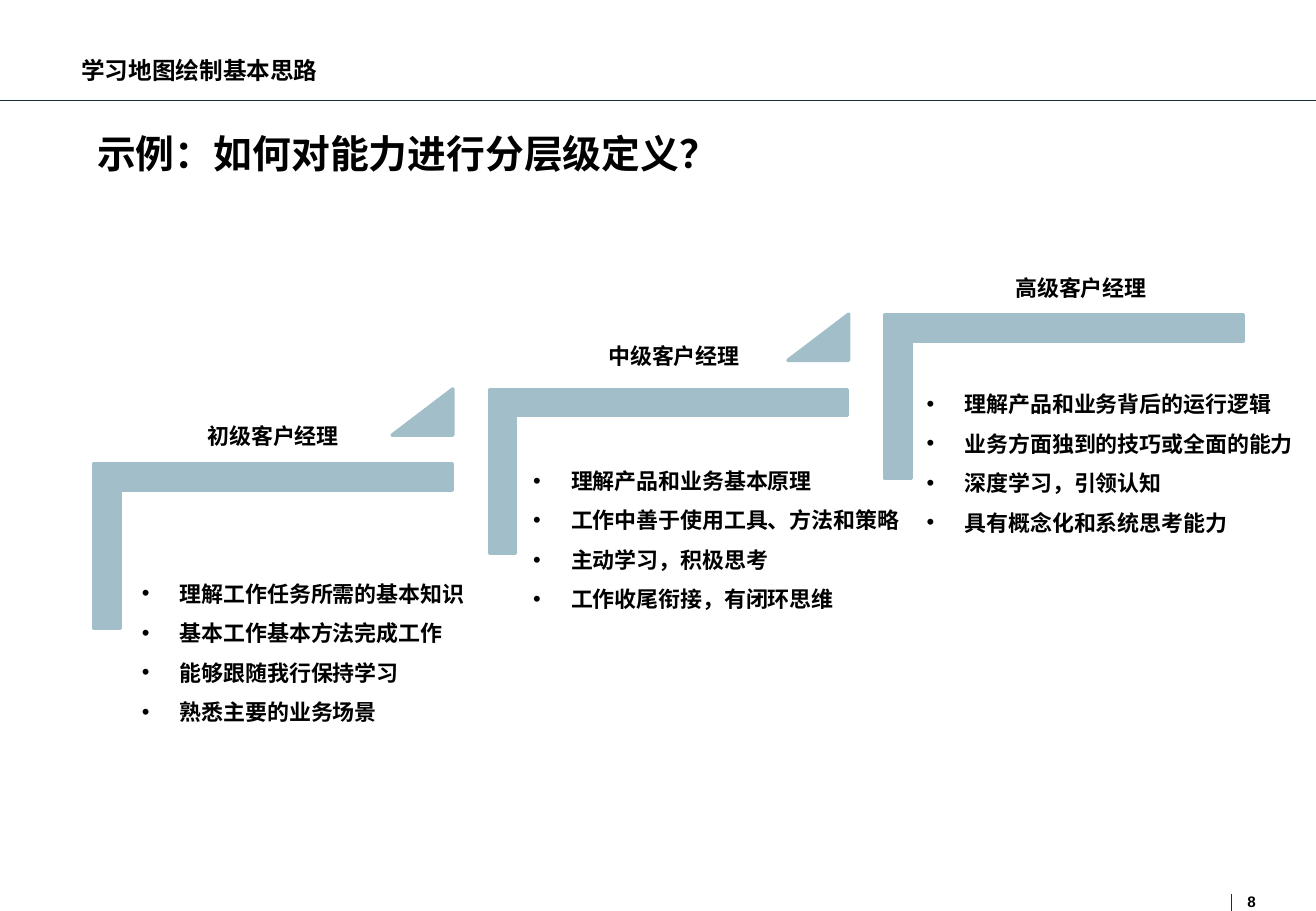
from lxml import etree
from pptx import Presentation
from pptx.dml.color import RGBColor
from pptx.enum import shapes, text
from pptx.oxml import ns
from pptx.util import Pt

BLACK = RGBColor(0x00, 0x00, 0x00)
RULE = RGBColor(0x17, 0x2F, 0x37)
STEP = RGBColor(0xA1, 0xBE, 0xC9)
CHINESE = "Noto Sans CJK SC"
RISE = 44.3
RUN = 234.6
LEVELS = [
    ("初级客户经理", (115.9, 247), (77, 332.6, 211),
     ["理解工作任务所需的基本知识", "基本工作基本方法完成工作", "能够跟随我行保持学习", "熟悉主要的业务场景"]),
    ("中级客户经理", (353.5, 199.4), (308.9, 265.7, 237.6),
     ["理解产品和业务基本原理", "工作中善于使用工具、方法和策略", "主动学习，积极思考", "工作收尾衔接，有闭环思维"]),
    ("高级客户经理", (594.7, 159.1), (542.2, 220.3, 237.6),
     ["理解产品和业务背后的运行逻辑", "业务方面独到的技巧或全面的能力", "深度学习，引领认知", "具有概念化和系统思考能力"]),
]


def write(paragraph, content, size=13, name="Arial", bold=True, spacing=None, bullet=False):
    """Fill a paragraph with one formatted run."""
    if bullet:
        properties = paragraph._p.get_or_add_pPr()
        properties.set("marL", str(Pt(22.5)))
        properties.set("indent", str(-Pt(22.5)))
        etree.SubElement(properties, ns.qn("a:buFont")).set("typeface", "Arial")
        etree.SubElement(properties, ns.qn("a:buChar")).set("char", "•")
    if spacing:
        paragraph.line_spacing = spacing
    run = paragraph.add_run()
    run.text = content
    run.font.size = Pt(size)
    run.font.bold = bold
    run.font.color.rgb = BLACK
    run.font.name = name
    etree.SubElement(run._r.get_or_add_rPr(), ns.qn("a:ea")).set("typeface", CHINESE)


class Builder:
    """Draw elements on one slide in a shared style."""

    def __init__(self, slide):
        self.slide = slide

    def rule(self, x1, y1, x2, y2):
        """Draw a thin straight line."""
        line = self.slide.shapes.add_connector(
            shapes.MSO_CONNECTOR.STRAIGHT, Pt(x1), Pt(y1), Pt(x2), Pt(y2))
        line.line.color.rgb = RULE
        line.line.width = Pt(0.75)
        etree.SubElement(line._element.spPr, ns.qn("a:effectLst"))

    def block(self, kind, left, top, width, height, adjustments, rotation=0):
        """Draw one filled part of the staircase."""
        shape = self.slide.shapes.add_shape(kind, Pt(left), Pt(top), Pt(width), Pt(height))
        shape.rotation = rotation
        for index, value in enumerate(adjustments):
            shape.adjustments[index] = value
        shape.shadow.inherit = False
        shape.fill.solid()
        shape.fill.fore_color.rgb = STEP
        shape.line.color.rgb = STEP
        shape.line.width = Pt(2)

    def box(self, left, top, width, height, lines, wrap=False, inset=True,
            grow=False, middle=False, **style):
        """Place a text box with one paragraph per line."""
        shape = self.slide.shapes.add_textbox(Pt(left), Pt(top), Pt(width), Pt(height))
        frame = shape.text_frame
        frame.word_wrap = wrap
        if grow:
            frame.auto_size = text.MSO_AUTO_SIZE.SHAPE_TO_FIT_TEXT
        if middle:
            frame.vertical_anchor = text.MSO_ANCHOR.MIDDLE
        if not inset:
            frame.margin_left = frame.margin_right = frame.margin_top = frame.margin_bottom = 0
        for index, line in enumerate(lines):
            paragraph = frame.add_paragraph() if index else frame.paragraphs[0]
            write(paragraph, line, **style)


def main():
    """Build and save the slide."""
    presentation = Presentation()
    presentation.slide_width = Pt(780)
    presentation.slide_height = Pt(540)
    builder = Builder(presentation.slides.add_slide(presentation.slide_layouts[6]))

    builder.rule(0, 59.8, 780, 59.8)
    builder.rule(730, 530, 730, 540)
    builder.box(57.6, 79.2, 673.9, 51.8, ["示例：如何对能力进行分层级定义？"],
                wrap=True, inset=False, size=23, name=CHINESE, spacing=0.93)
    builder.box(739.4, 529.2, 12.2, 10.1, ["8"], wrap=True, inset=False, size=9)
    builder.box(41, 30.2, 197.3, 23, ["学习地图绘制基本思路"], middle=True, size=14, name=CHINESE)

    for index, (label, label_at, (left, top, width), abilities) in enumerate(LEVELS):
        across, up = index * RUN, index * RISE
        builder.block(shapes.MSO_SHAPE.CORNER, 113 + across, 217.4 - up,
                      97.2, 212.4, [0.161, 0.161], rotation=90)
        if index < len(LEVELS) - 1:
            builder.block(shapes.MSO_SHAPE.ISOSCELES_TRIANGLE, 232.4 + across, 230.5 - up,
                          36, 27.4, [1])
        builder.box(*label_at, 95, 23, [label], grow=True)
        builder.box(left, top, width, 98.6, abilities, grow=True, spacing=1.5, bullet=True)

    presentation.save("out.pptx")


if __name__ == "__main__":
    main()
